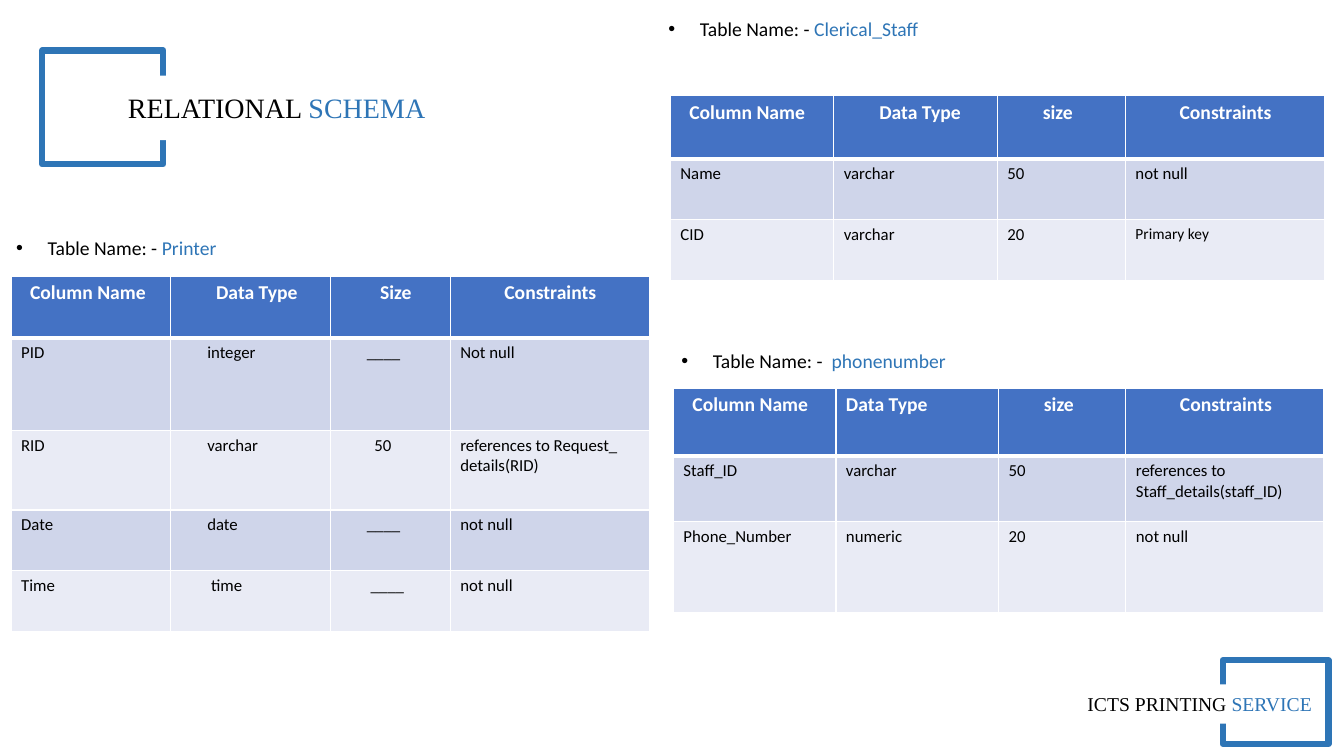
from dataclasses import dataclass

from lxml import etree
from pptx import Presentation
from pptx.dml.color import RGBColor
from pptx.enum.shapes import MSO_SHAPE
from pptx.enum.text import MSO_ANCHOR, MSO_AUTO_SIZE, PP_ALIGN
from pptx.oxml.ns import qn
from pptx.util import Pt

RECTANGLE = MSO_SHAPE.RECTANGLE
TOP = MSO_ANCHOR.TOP
NO_AUTOFIT = MSO_AUTO_SIZE.NONE
LEFT = PP_ALIGN.LEFT

WHITE, BLACK, ACCENT = "FFFFFF", "000000", "2E75B6"
HEADER_FILL = "4472C4"
BAND_FILLS = ("CFD5EA", "E9EBF5")
SANS, SERIF = "Calibri", "Times New Roman"
COMPARISON_LAYOUT = 4
BULLET_INDENT = 22.5


@dataclass
class Cell:
    text: str
    inset: float = 7.2
    size: float = 12


def color(hex_string):
    return RGBColor.from_string(hex_string)


def box(left, top, width, height):
    return Pt(left), Pt(top), Pt(width), Pt(height)


def write(paragraph, text, *, size, font=SANS, fill=BLACK, bold=False):
    run = paragraph.add_run()
    run.text = text
    run.font.size = Pt(size)
    run.font.name = font
    run.font.bold = bold
    run.font.color.rgb = color(fill)


def two_tone(frame, lead, highlight, **style):
    """Fill a text frame with one line: black lead, then an accent word."""
    frame.word_wrap = True
    frame.auto_size = NO_AUTOFIT
    frame.vertical_anchor = TOP
    line = frame.paragraphs[0]
    line.alignment = LEFT
    line.space_before = Pt(0)
    line.line_spacing = 1.0
    write(line, lead, **style)
    write(line, highlight, fill=ACCENT, **style)
    return line


def place(placeholder, bounds):
    """Move a placeholder to bounds and in front of the other shapes."""
    placeholder.left, placeholder.top, placeholder.width, placeholder.height = box(*bounds)
    tree = placeholder.element.getparent()
    tree.append(placeholder.element)


def add_rectangle(slide, bounds, outline=None):
    rectangle = slide.shapes.add_shape(RECTANGLE, *box(*bounds))
    rectangle.shadow.inherit = False
    rectangle.fill.solid()
    rectangle.fill.fore_color.rgb = color(WHITE)
    if outline:
        rectangle.line.color.rgb = color(outline)
        rectangle.line.width = Pt(4.5)
    else:
        rectangle.line.fill.background()


def add_bracket(slide, frame, gap):
    """Outlined frame whose side is opened by a white strip."""
    add_rectangle(slide, frame, outline=ACCENT)
    add_rectangle(slide, gap)


def caption(placeholder, bounds, table_name):
    place(placeholder, bounds)
    line = two_tone(placeholder.text_frame, "Table Name: - ", table_name, size=14)
    properties = line._p.get_or_add_pPr()
    properties.set("marL", str(Pt(BULLET_INDENT)))
    properties.set("indent", str(-Pt(BULLET_INDENT)))
    etree.SubElement(properties, qn("a:buFont"), typeface="Arial")
    etree.SubElement(properties, qn("a:buChar"), char="•")


def border_cell(cell, bottom_width):
    properties = cell._tc.get_or_add_tcPr()
    for side, width in (("L", 1), ("R", 1), ("T", 1), ("B", bottom_width)):
        line = etree.SubElement(properties, qn(f"a:ln{side}"), w=str(Pt(width)))
        solid = etree.SubElement(line, qn("a:solidFill"))
        etree.SubElement(solid, qn("a:srgbClr"), val=WHITE)


def add_schema(slide, left, top, widths, heights, rows):
    """Table with a header row followed by banded rows; plain strings become default cells."""
    bounds = box(left, top, sum(widths), sum(heights))
    table = slide.shapes.add_table(len(heights), len(widths), *bounds).table
    for column, width in zip(table.columns, widths):
        column.width = Pt(width)
    for number, (row, height, entries) in enumerate(zip(table.rows, heights, rows)):
        row.height = Pt(height)
        is_header = number == 0
        for cell, entry in zip(row.cells, entries):
            content = entry if isinstance(entry, Cell) else Cell(entry)
            border_cell(cell, 3 if is_header else 1)
            cell.fill.solid()
            cell.fill.fore_color.rgb = color(HEADER_FILL if is_header else BAND_FILLS[(number - 1) % 2])
            cell.margin_left = Pt(content.inset)
            write(cell.text_frame.paragraphs[0], content.text, size=content.size,
                  fill=WHITE if is_header else BLACK, bold=is_header)


def header(size_label, type_inset=32.5, size_inset=32.5):
    return [Cell("Column Name", 13.6, 14), Cell("Data Type", type_inset, 14),
            Cell(size_label, size_inset, 14), Cell("Constraints", 38.7, 14)]


def main():
    deck = Presentation()
    deck.slide_width, deck.slide_height = Pt(960), Pt(540)
    slide = deck.slides.add_slide(deck.slide_layouts[COMPARISON_LAYOUT])
    title, clerical, printer, phone, spare = slide.placeholders
    spare.element.getparent().remove(spare.element)

    add_bracket(slide, (30.2, 36, 86.4, 81.4), (84.2, 54, 855.4, 46.1))
    add_bracket(slide, (873.4, 471.6, 75.6, 59.8), (503.3, 488.9, 384.5, 28.1))

    place(title, (84.2, 61.2, 288.7, 31.7))
    two_tone(title.text_frame, "RELATIONAL ", "SCHEMA", size=20, font=SERIF)
    footer = slide.shapes.add_textbox(*box(769.7, 491, 205.9, 24.5))
    two_tone(footer.text_frame, "ICTS PRINTING ", "SERVICE", size=14, font=SERIF)

    caption(clerical, (470.2, 8.6, 216, 63.4), "Clerical_Staff")
    caption(printer, (4.3, 164.9, 216, 46.1), "Printer")
    caption(phone, (479.5, 245.5, 216, 63.4), " phonenumber")

    add_schema(slide, 478.8, 68.4, (116.8, 116.8, 91.5, 142), (45, 43.4, 43.4), [
        header("size"),
        ["Name", "varchar", "50", "not null"],
        ["CID", "varchar", "20", Cell("Primary key", size=11)],
    ])
    add_schema(slide, 7.9, 197.3, (114, 114, 85.7, 142.6), (44, 66, 57, 43.5, 43.5), [
        header("Size", size_inset=35.6),
        ["PID", Cell("integer", 26.2), Cell("____", 26.2), "Not null"],
        ["RID", Cell("varchar", 26.2), Cell("50", 31.6), "references to Request_ details(RID)"],
        ["Date", Cell("date", 26.2), Cell("____", 26.2), "not null"],
        ["Time", Cell("time", 28.9), Cell("____", 28.9), "not null"],
    ])
    add_schema(slide, 481, 277.2, (116.1, 116.1, 91, 141.2), (48.4, 47.2, 64.8), [
        header("size", type_inset=7.2),
        ["Staff_ID", "varchar", "50", "references to Staff_details(staff_ID)"],
        ["Phone_Number", "numeric", "20", "not null"],
    ])
    deck.save("out.pptx")


if __name__ == "__main__":
    main()
